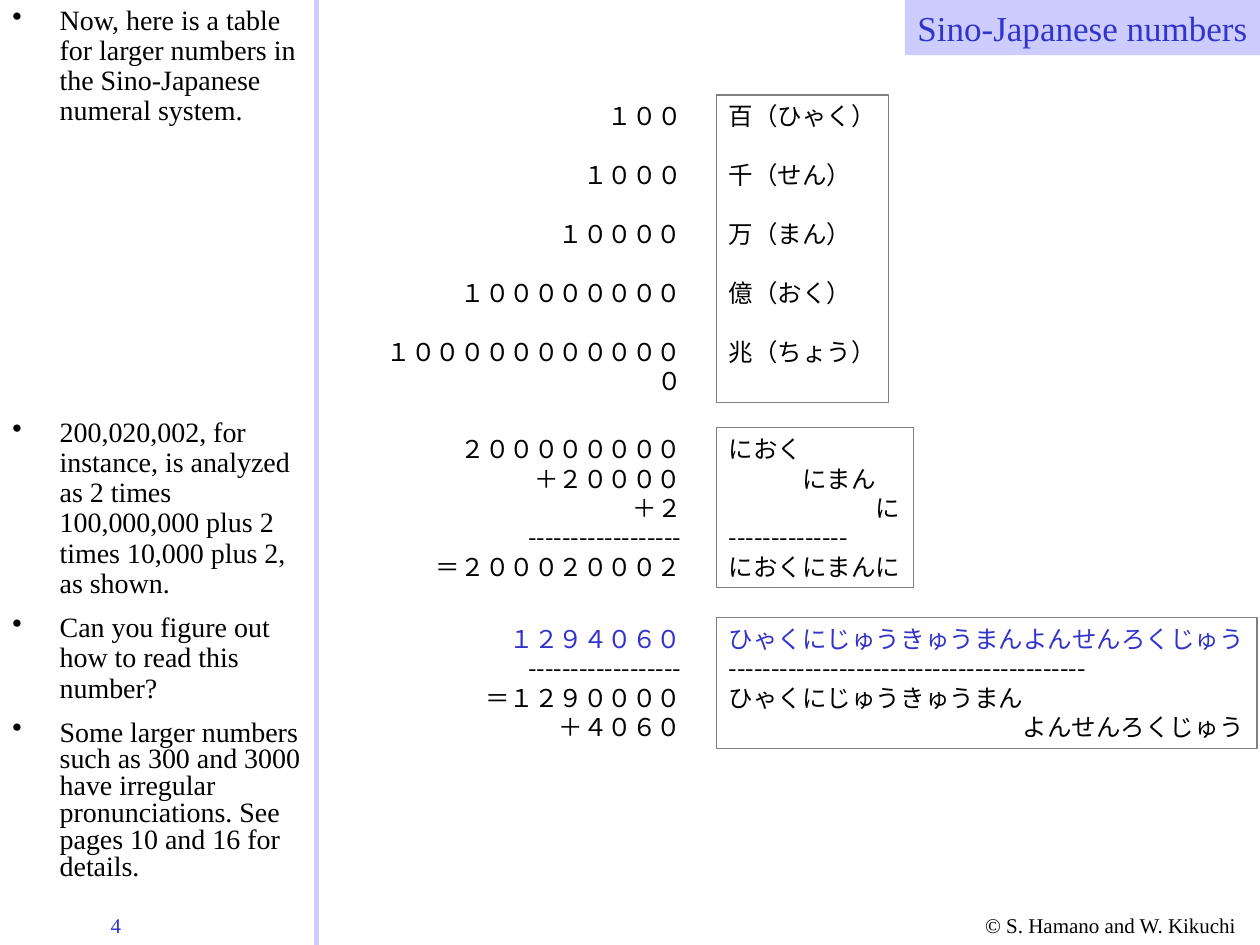
from dataclasses import dataclass

from lxml import etree
from pptx import Presentation
from pptx.dml.color import RGBColor
from pptx.enum.shapes import MSO_CONNECTOR, MSO_SHAPE
from pptx.enum.text import MSO_ANCHOR, PP_ALIGN
from pptx.oxml.ns import qn
from pptx.util import Pt

LEFT, RIGHT = PP_ALIGN.LEFT, PP_ALIGN.RIGHT
TOP = MSO_ANCHOR.TOP
RECTANGLE = MSO_SHAPE.RECTANGLE
STRAIGHT = MSO_CONNECTOR.STRAIGHT


@dataclass(frozen=True)
class Theme:
    text: RGBColor = RGBColor(0x00, 0x00, 0x00)
    accent: RGBColor = RGBColor(0x33, 0x33, 0xCC)
    band: RGBColor = RGBColor(0xCC, 0xCC, 0xFF)
    border: RGBColor = RGBColor(0x80, 0x80, 0x80)
    latin: str = "Times New Roman"
    japanese: str = "Noto Sans CJK JP"
    title_size: float = 20
    note_size: float = 16
    number_size: float = 14
    footer_size: float = 12
    number_line: float = 16.85


THEME = Theme()
SIDEBAR_WIDTH = 180.7
NUMBERS_RIGHT = 396.6
READINGS_LEFT = 409.3

# top, height, line spacing, text
NOTES = [
    (0, 86.4, 0.9, "Now, here is a table for larger numbers in the Sino-Japanese numeral system."),
    (235.4, 126.7, 0.9, "200,020,002, for instance, is analyzed as 2 times 100,000,000 "
                        "plus 2 times 10,000 plus 2, as shown."),
    (347, 63.4, 0.9, "Can you figure out how to read this number?"),
    (408.2, 109.4, 0.8, "Some larger numbers such as 300 and 3000 have irregular "
                        "pronunciations. See pages 10 and 16 for details."),
]


@dataclass(frozen=True)
class Example:
    """Numbers beside their readings; each reading is (text, indent in characters)."""
    top: float
    height: float
    numbers_width: float
    readings_width: float
    numbers: tuple
    readings: tuple
    gap: float = 0
    first_color: RGBColor = THEME.text


EXAMPLES = [
    Example(54.3, 175.7, 196.6, 98.6,
            ("１００", "１０００", "１００００", "１００００００００", "１００００００００００００"),
            (("百（ひゃく）", 0), ("千（せん）", 0), ("万（まん）", 0), ("億（おく）", 0),
             ("兆（ちょう）", 0)),
            gap=THEME.number_line),
    Example(244.5, 91.4, 154.8, 112.6,
            ("２００００００００", "＋２００００", "＋２", "-" * 18, "＝２０００２０００２"),
            (("におく", 0), ("にまん", 3), ("に", 6), ("-" * 14, 0), ("におくにまんに", 0))),
    Example(352.8, 74.9, 140.4, 309,
            ("１２９４０６０", "-" * 18, "＝１２９００００", "＋４０６０"),
            (("ひゃくにじゅうきゅうまんよんせんろくじゅう", 0), ("-" * 42, 0),
             ("ひゃくにじゅうきゅうまん", 0), ("よんせんろくじゅう", 12)),
            first_color=THEME.accent),
]


def style(paragraph, text, size, color, font_name=THEME.latin, alignment=LEFT):
    paragraph.text = text
    paragraph.alignment = alignment
    font = paragraph.font
    font.name, font.size = font_name, Pt(size)
    font.color.rgb = color
    east_asian = etree.Element(qn("a:ea"), typeface=font_name)
    paragraph._p.pPr.find(qn("a:defRPr")).find(qn("a:latin")).addnext(east_asian)


def add_text_box(slide, left, top, width, height):
    box = slide.shapes.add_textbox(Pt(left), Pt(top), Pt(width), Pt(height))
    box.text_frame.word_wrap = True
    return box


def add_rectangle(slide, left, top, width, height):
    shape = slide.shapes.add_shape(RECTANGLE, Pt(left), Pt(top), Pt(width), Pt(height))
    shape.shadow.inherit = False
    shape.text_frame.word_wrap = True
    shape.text_frame.vertical_anchor = TOP
    return shape


def add_title(slide, text):
    shape = add_rectangle(slide, 517, 0, 203, 31.5)
    shape.fill.solid()
    shape.fill.fore_color.rgb = THEME.band
    shape.line.fill.background()
    style(shape.text_frame.paragraphs[0], text, THEME.title_size, THEME.accent, alignment=RIGHT)


def add_divider(slide):
    line = slide.shapes.add_connector(
        STRAIGHT, Pt(SIDEBAR_WIDTH), Pt(0), Pt(SIDEBAR_WIDTH), Pt(540))
    line.line.color.rgb = THEME.band
    line.line.width = Pt(3)
    etree.SubElement(line._element.spPr, qn("a:effectLst"))


def add_note(slide, top, height, line_spacing, text):
    box = add_text_box(slide, 0, top, SIDEBAR_WIDTH, height)
    paragraph = box.text_frame.paragraphs[0]
    properties = paragraph._p.get_or_add_pPr()
    properties.set("marL", str(Pt(27)))
    properties.set("indent", str(Pt(-27)))
    bullet_color = etree.SubElement(properties, qn("a:buClr"))
    etree.SubElement(bullet_color, qn("a:srgbClr"), val=str(THEME.text))
    etree.SubElement(properties, qn("a:buChar"), char="•")
    paragraph.line_spacing = line_spacing
    style(paragraph, text, THEME.note_size, THEME.text)


def fill_lines(text_frame, lines, example, alignment):
    for index, (text, indent) in enumerate(lines):
        paragraph = text_frame.add_paragraph() if index else text_frame.paragraphs[0]
        if indent:
            properties = paragraph._p.get_or_add_pPr()
            properties.set("marL", str(Pt(indent * THEME.number_size)))
        paragraph.line_spacing = Pt(THEME.number_line)
        if index and example.gap:
            paragraph.space_before = Pt(example.gap)
        color = THEME.text if index else example.first_color
        style(paragraph, text, THEME.number_size, color, THEME.japanese, alignment)


def add_example(slide, example):
    numbers = add_text_box(slide, NUMBERS_RIGHT - example.numbers_width, example.top,
                           example.numbers_width, example.height)
    fill_lines(numbers.text_frame, [(number, 0) for number in example.numbers], example, RIGHT)
    readings = add_rectangle(slide, READINGS_LEFT, example.top,
                             example.readings_width, example.height)
    readings.fill.background()
    readings.line.color.rgb = THEME.border
    readings.line.width = Pt(0.75)
    fill_lines(readings.text_frame, example.readings, example, LEFT)


def add_footer(slide, left, width, text, color):
    box = add_text_box(slide, left, 517.7, width, 21.6)
    style(box.text_frame.paragraphs[0], text, THEME.footer_size, color)


def main():
    presentation = Presentation()
    presentation.slide_width, presentation.slide_height = Pt(720), Pt(540)
    slide = presentation.slides.add_slide(presentation.slide_layouts[6])
    add_footer(slide, 555.8, 164.2, "© S. Hamano and W. Kikuchi", THEME.text)
    add_footer(slide, 56.2, 64, "4", THEME.accent)
    add_divider(slide)
    add_title(slide, "Sino-Japanese numbers")
    for note in NOTES:
        add_note(slide, *note)
    for example in EXAMPLES:
        add_example(slide, example)
    presentation.save("out.pptx")


if __name__ == "__main__":
    main()
